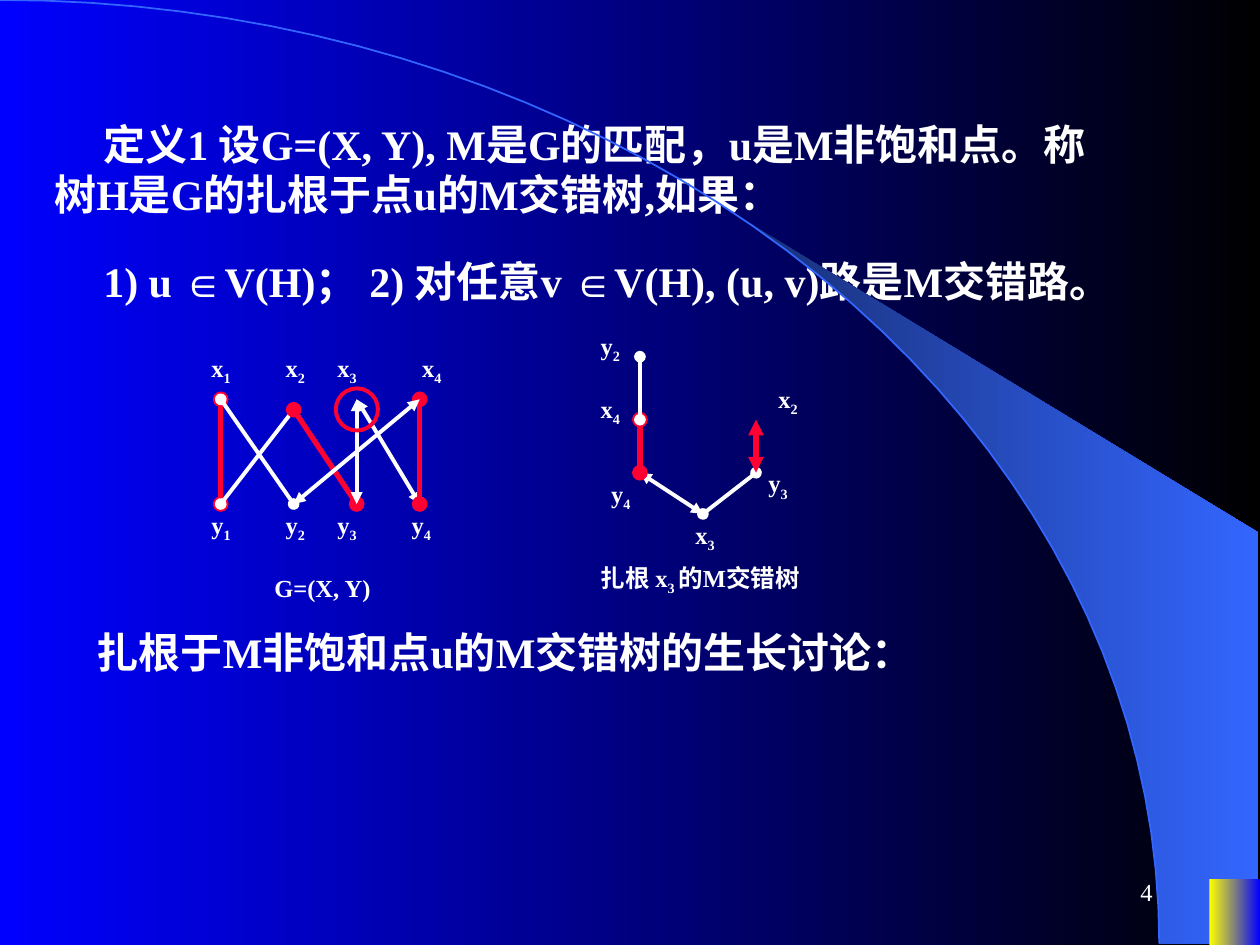
from math import cos, radians, sin

from lxml import etree
from pptx import Presentation
from pptx.dml.color import RGBColor
from pptx.enum import shapes, text
from pptx.oxml.ns import qn
from pptx.util import Cm, Pt

BLUE = RGBColor(0x00, 0x00, 0xFF)
BLACK = RGBColor(0x00, 0x00, 0x00)
NAVY = RGBColor(0x18, 0x2F, 0x76)
SKY = RGBColor(0x33, 0x66, 0xFF)
YELLOW = RGBColor(0xFF, 0xFF, 0x00)
WHITE = RGBColor(0xFF, 0xFF, 0xFF)
RED = RGBColor(0xFF, 0x00, 0x33)

FONT = "Times New Roman"
ARC_WIDTH, ARC_HEIGHT = 23.37, 19.02

GRAPH_VERTICES = {
    "x1": (4.45, 8.05), "x2": (5.92, 8.26), "x3": (7.19, 8.05), "x4": (8.46, 8.05),
    "y1": (4.45, 10.16), "y2": (5.92, 10.16), "y3": (7.19, 10.16), "y4": (8.46, 10.16),
}
GRAPH_EDGES = [
    ("x1", "y1", RED, "oval"), ("x1", "y2", WHITE, "oval"),
    ("y1", "x2", WHITE, "oval"), ("x2", "y3", RED, "oval"),
    ("y3", "x3", WHITE, "triangle"), ("x3", "y4", WHITE, "triangle"),
    ("y4", "x4", RED, "oval"), ("x4", "y2", WHITE, "triangle"),
]
GRAPH_LABELS = {
    "x1": (4.01, 6.99), "x2": (5.51, 6.99), "x3": (6.55, 6.99), "x4": (8.26, 6.99),
    "y1": (4.01, 10.16), "y2": (5.51, 10.16), "y3": (6.55, 10.16), "y4": (8.05, 10.16),
}
TREE_VERTICES = {
    "x3": (14.17, 10.36), "y4": (12.9, 9.53), "x4": (12.9, 8.46),
    "y2": (12.9, 7.19), "y3": (15.24, 9.53), "x2": (15.24, 8.46),
}
TREE_EDGES = [
    ("x3", "y4", WHITE, "triangle"), ("y4", "x4", RED, "oval"),
    ("x4", "y2", WHITE, "oval"), ("x3", "y3", WHITE, "oval"),
    ("y3", "x2", RED, "triangle"),
]
TREE_LABELS = {
    "x3": (13.77, 10.36), "x2": (15.44, 7.62), "x4": (11.86, 7.82),
    "y4": (12.07, 9.53), "y3": (15.24, 9.32), "y2": (11.86, 6.55),
}


def set_gradient(fill, first, last):
    """Fill from left to right with two colours."""
    fill.gradient()
    fill.gradient_angle = 0
    for stop, colour in zip(fill.gradient_stops, (first, last)):
        stop.color.rgb = colour


def arc_points(start):
    """Return points on the quarter ellipse from a start angle to 90 degrees."""
    angles = [radians(start + (90 - start) * step / 40) for step in range(41)]
    return [(Cm(ARC_WIDTH * sin(angle)), Cm(ARC_HEIGHT * (1 - cos(angle))))
            for angle in angles]


def add_outline(group, points, close):
    """Add a freeform through the points."""
    builder = group.shapes.build_freeform(*points[0], scale=1.0)
    builder.add_line_segments(points[1:], close=close)
    shape = builder.convert_to_shape()
    shape.shadow.inherit = False
    return shape


def add_backdrop(slide):
    """Add the background, the curved band and the corner block."""
    set_gradient(slide.background.fill, BLUE, BLACK)
    group = slide.shapes.add_group_shape()
    corners = [(Cm(25.37), Cm(ARC_HEIGHT)), (Cm(25.37), Cm(10.74))]
    band = add_outline(group, arc_points(39.8) + corners, True)
    set_gradient(band.fill, NAVY, SKY)
    band.line.fill.background()
    curve = add_outline(group, arc_points(0), False)
    curve.fill.background()
    curve.line.color.rgb = SKY
    curve.line.width = Pt(1)
    block = slide.shapes.add_shape(
        shapes.MSO_SHAPE.RECTANGLE, Cm(24.38), Cm(17.73), Cm(1.02), Cm(1.32))
    block.shadow.inherit = False
    set_gradient(block.fill, YELLOW, BLUE)
    block.line.fill.background()


def write_text(shape, content, size=14, bold=True, indent=0, tab=None):
    """Write one left-aligned paragraph; every second part between bars is a subscript."""
    frame = shape.text_frame
    frame.word_wrap = True
    frame.auto_size = text.MSO_AUTO_SIZE.NONE
    frame.vertical_anchor = text.MSO_ANCHOR.TOP
    paragraph = frame.paragraphs[0]
    paragraph.alignment = text.PP_ALIGN.LEFT
    paragraph.space_before = Pt(0)
    properties = paragraph._p.get_or_add_pPr()
    properties.set("marL", "0")
    properties.set("indent", str(Pt(indent)))
    etree.SubElement(properties, qn("a:buNone"))
    if tab:
        tabs = etree.SubElement(properties, qn("a:tabLst"))
        etree.SubElement(tabs, qn("a:tab"), pos=str(Cm(tab)), algn="l")
    for index, part in enumerate(content.split("|")):
        run = paragraph.add_run()
        run.text = part
        run.font.name = FONT
        run.font.size = Pt(size)
        run.font.bold = bold
        run.font.color.rgb = WHITE
        if index % 2:
            run._r.get_or_add_rPr().set("baseline", "-25000")
    return paragraph


def add_text(parent, left, top, width, height, content, **style):
    """Add a text box with one paragraph."""
    box = parent.shapes.add_textbox(Cm(left), Cm(top), Cm(width), Cm(height))
    return box, write_text(box, content, **style)


def fill_placeholder(shape, left, top, width, height, content, **style):
    """Move a placeholder and write its paragraph."""
    shape.left, shape.top, shape.width, shape.height = map(Cm, (left, top, width, height))
    write_text(shape, content, size=24, indent=28, **style)
    shape.text_frame.margin_top = Cm(0.28)


def add_edge(group, start, end, colour, tip):
    """Add a line with the same tip at both ends."""
    edge = group.shapes.add_connector(
        shapes.MSO_CONNECTOR.STRAIGHT, *map(Cm, start + end))
    edge.line.color.rgb = colour
    edge.line.width = Pt(3 if colour == RED else 2.25)
    line = edge.line._get_or_add_ln()
    for side in ("a:headEnd", "a:tailEnd"):
        etree.SubElement(line, qn(side), type=tip)
    etree.SubElement(edge._element.spPr, qn("a:effectLst"))


def add_diagram(slide, vertices, edges, labels):
    """Add a group of edges and vertex labels."""
    group = slide.shapes.add_group_shape()
    for start, end, colour, tip in edges:
        add_edge(group, vertices[start], vertices[end], colour, tip)
    for name, (left, top) in labels.items():
        add_text(group, left, top, 1.09, 0.94, "|".join(name))
    return group


def add_root_ring(group):
    """Circle the root vertex."""
    ring = group.shapes.add_shape(
        shapes.MSO_SHAPE.OVAL, Cm(6.77), Cm(7.83), Cm(0.85), Cm(0.85))
    ring.shadow.inherit = False
    ring.fill.background()
    ring.line.color.rgb = RED
    ring.line.width = Pt(2.25)


def main():
    """Build the slide and save it."""
    presentation = Presentation()
    presentation.slide_width, presentation.slide_height = Cm(25.4), Cm(19.05)
    slide = presentation.slides.add_slide(presentation.slide_layouts[1])
    add_backdrop(slide)
    fill_placeholder(slide.shapes.title, 0.84, 2.11, 22.02, 2.46,
                     "定义1 设G=(X, Y), M是G的匹配，u是M非饱和点。称树H是G的扎根于点u的M交错树,如果：")
    fill_placeholder(slide.placeholders[1], 0.84, 4.88, 23.93, 1.45,
                     "1) u ∈V(H)；\t2) 对任意v ∈V(H), (u, v)路是M交错路。", tab=7.29)

    graph = add_diagram(slide, GRAPH_VERTICES, GRAPH_EDGES, GRAPH_LABELS)
    add_root_ring(graph)
    add_text(graph, 5.28, 11.43, 2.74, 0.86, "G=(X, Y)")
    tree = add_diagram(slide, TREE_VERTICES, TREE_EDGES, TREE_LABELS)
    add_text(tree, 11.86, 11.23, 5.72, 0.94, "扎根 x|3 |的M交错树")

    add_text(slide, 1.07, 12.5, 21.79, 1.27,
             "扎根于M非饱和点u的M交错树的生长讨论：", size=24, indent=18)
    number, paragraph = add_text(slide, 18.21, 17.35, 5.28, 1.27, "4", bold=False)
    number.text_frame.vertical_anchor = text.MSO_ANCHOR.MIDDLE
    paragraph.alignment = text.PP_ALIGN.RIGHT
    presentation.save("out.pptx")


if __name__ == "__main__":
    main()
